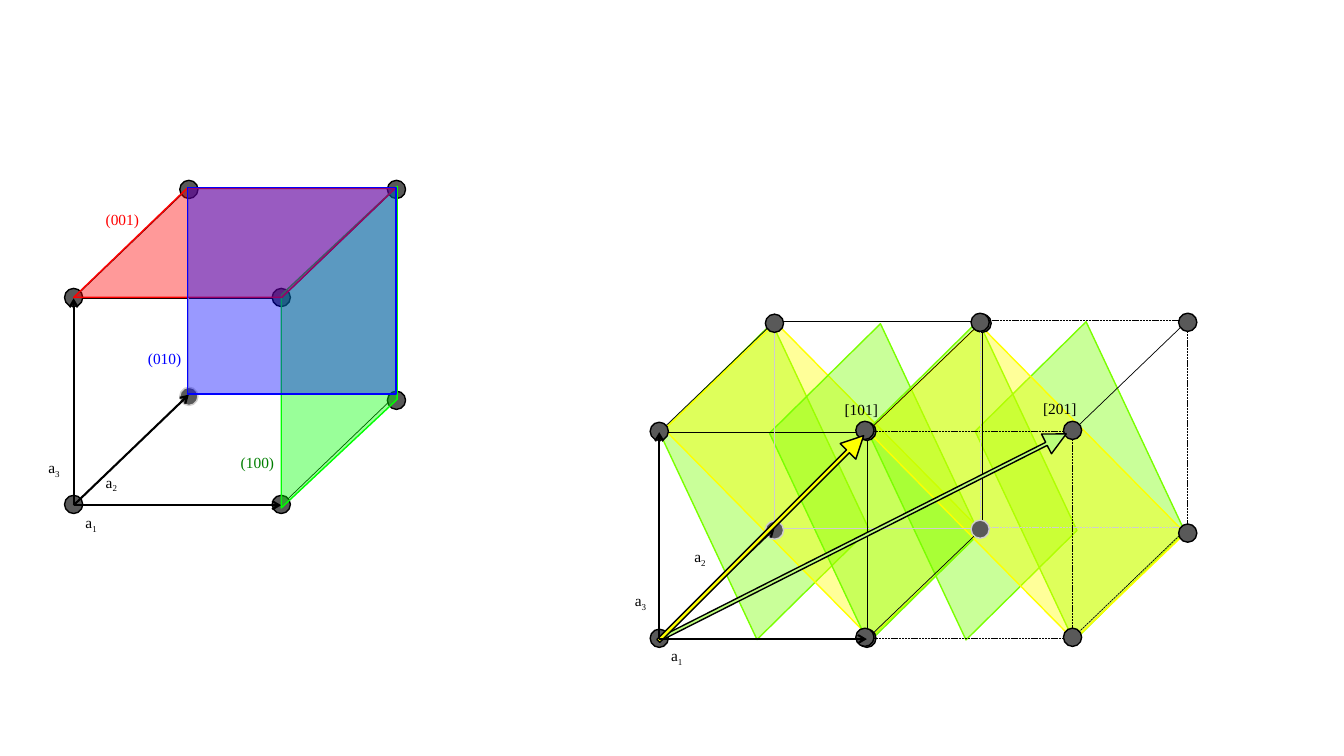
import itertools

import pptx
import pptx.dml.color
import pptx.enum.dml
import pptx.enum.shapes
import pptx.enum.text
import pptx.oxml
import pptx.oxml.ns
import pptx.util

Pt = pptx.util.Pt
SHAPE = pptx.enum.shapes.MSO_SHAPE

COLORS = {
    "black": "000000", "pale": "D0CECE", "atom": "595959",
    "red": "FF0000", "green": "00FF00", "blue": "0000FF", "dark green": "007E00",
    "lime": "7AFF00", "yellow": "FFFF00", "light lime": "BCFE7A",
}
FONT = "Times New Roman"

# Lattice vectors and cell origins; a vertex is (i, j, k) steps along a1, a2, a3
LATTICE = ((148.3, 0), (82.3, -79), (0, -147.8))
LEFT_CELL = (52.6, 360.9)
RIGHT_CELL = (470.9, 456.5)
NEXT_CELL = (617.8, 455.8)
ORIGIN, A1, A2, A3 = (0, 0, 0), (1, 0, 0), (0, 1, 0), (0, 0, 1)
BASE_CORNER = (1, 1, 0)
VERTICES = list(itertools.product((0, 1), repeat=3))
SHARED_EDGES = [(ORIGIN, A2), (ORIGIN, A3), (A3, (0, 1, 1))]
SOLID_EDGE = ((1, 0, 1), (1, 1, 1))
ATOM_SIZE = 13

# kind, box (left, top, width, height), rotation, flips, adjustments, color
LIME_PLANES = [
    (SHAPE.PARALLELOGRAM, (left, top, 166.3, height), 315.4, "HV", [0.352], "lime")
    for left, top, height in [(463, 267.1, 153.4), (541.4, 267.1, 156.2),
                              (611.3, 265, 156.2), (688.3, 265.7, 156.2)]
]
YELLOW_PLANES = [
    (SHAPE.PARALLELOGRAM, (left, top, 211, 110.2), 45.4, "", [0.014], "yellow")
    for left, top in [(482.4, 288), (627.8, 289.4)]
]
RIGHT_PLANES = [LIME_PLANES[0], YELLOW_PLANES[0], *LIME_PLANES[1:], YELLOW_PLANES[1]]
LEFT_PLANES = [
    (SHAPE.PARALLELOGRAM, (127.4, 206.6, 229.7, 82.8), 270, "H", [0.937], "green"),
    (SHAPE.PARALLELOGRAM, (52.6, 134.6, 229.7, 77.8), 0, "", [1.039], "red"),
    (SHAPE.RECTANGLE, (133.9, 133.9, 149, 147.6), 0, "", [], "blue"),
]
DIRECTIONS = [
    (SHAPE.RIGHT_ARROW, (455, 375.1, 324, 15.8), 333.2, "", [0.155, 1.001], "light lime"),
    (SHAPE.RIGHT_ARROW, (439.9, 376.6, 207.4, 15.8), 315, "", [0.181, 1.001], "yellow"),
]

# text, subscript, left, top, color
LABELS = [
    ("a", "1", 54, 362.9, "black"), ("a", "2", 68.4, 334.1, "black"),
    ("a", "3", 27.4, 324, "black"),
    ("a", "1", 472.3, 457.9, "black"), ("a", "2", 488.9, 387.4, "black"),
    ("a", "3", 446.4, 419, "black"),
    ("(001)", "", 68.4, 146.2, "red"), ("(010)", "", 98.6, 245.5, "blue"),
    ("(100)", "", 164.9, 320.4, "dark green"),
    ("[101]", "", 596.2, 282.2, "black"), ("[201]", "", 738, 281.5, "black"),
]

deck = pptx.Presentation()
deck.slide_width, deck.slide_height = Pt(960), Pt(540)
page = deck.slides.add_slide(deck.slide_layouts[6])


def rgb(name):
    return pptx.dml.color.RGBColor.from_string(COLORS[name])


def add_child(parent, tag, **attributes):
    child = pptx.oxml.parse_xml(f"<{tag} {pptx.oxml.ns.nsdecls('a')}/>")
    for key, value in attributes.items():
        child.set(key, value)
    parent.append(child)


def locate(cell, vertex):
    """Slide position of a lattice vertex."""
    return [cell[axis] + sum(n * step[axis] for n, step in zip(vertex, LATTICE))
            for axis in (0, 1)]


def draw_line(cell, start, end, color="black", width=0.5, dashed=False, arrow=False):
    points = locate(cell, start) + locate(cell, end)
    link = page.shapes.add_connector(
        pptx.enum.shapes.MSO_CONNECTOR.STRAIGHT, *map(Pt, points))
    link.line.color.rgb = rgb(color)
    link.line.width = Pt(width)
    if dashed:
        link.line.dash_style = pptx.enum.dml.MSO_LINE.SQUARE_DOT
    if arrow:
        add_child(link.line._get_or_add_ln(), "a:tailEnd", type="arrow")
    add_child(link._element.spPr, "a:effectLst")


def draw_axis(cell, vertex):
    draw_line(cell, ORIGIN, vertex, width=1.5, arrow=True)


def draw_edges(cell, extension=False):
    """Draw the cell's edges; an extension is dashed and omits shared edges."""
    for start, end in itertools.combinations(VERTICES, 2):
        if sum(a != b for a, b in zip(start, end)) != 1:
            continue
        if extension and (start, end) in SHARED_EDGES:
            continue
        color = "pale" if A2 in (start, end) else "black"
        draw_line(cell, start, end, color,
                  dashed=extension and (start, end) != SOLID_EDGE)


def draw_shape(kind, box, rotation, flips, adjustments, fill, line, alpha=None):
    shape = page.shapes.add_shape(kind, *map(Pt, box))
    shape.shadow.inherit = False
    shape.rotation = rotation
    for axis in flips:
        shape._element.spPr.xfrm.set("flip" + axis, "1")
    for index, value in enumerate(adjustments):
        shape.adjustments[index] = value
    shape.fill.solid()
    shape.fill.fore_color.rgb = rgb(fill)
    if alpha:
        add_child(shape._element.spPr.find(".//" + pptx.oxml.ns.qn("a:srgbClr")),
                  "a:alpha", val=str(alpha * 1000))
    shape.line.color.rgb = rgb(line)
    shape.line.width = Pt(1)


def draw_planes(planes):
    for *geometry, color in planes:
        draw_shape(*geometry, color, color, alpha=40)


def draw_atoms(cell, vertices):
    for vertex in vertices:
        x, y = locate(cell, vertex)
        drop = 4 if vertex == BASE_CORNER else 1.2 if vertex[1] else -0.6
        box = (x - ATOM_SIZE / 2, y + drop - ATOM_SIZE / 2, ATOM_SIZE, ATOM_SIZE)
        draw_shape(SHAPE.OVAL, box, 0, "", [], "atom",
                   "pale" if vertex == A2 else "black")


def draw_label(text, subscript, left, top, color):
    box = page.shapes.add_textbox(Pt(left), Pt(top), Pt(67.7), Pt(20.9))
    box.text_frame.word_wrap = True
    box.text_frame.auto_size = pptx.enum.text.MSO_AUTO_SIZE.SHAPE_TO_FIT_TEXT
    para = box.text_frame.paragraphs[0]
    for part in filter(None, (text, subscript)):
        span = para.add_run()
        span.text = part
        span.font.name = FONT
        span.font.size = Pt(11)
        span.font.color.rgb = rgb(color)
        if part == subscript:
            span.font._element.set("baseline", "-25000")


draw_planes(RIGHT_PLANES)

draw_edges(LEFT_CELL)
draw_atoms(LEFT_CELL, VERTICES)
for axis_vertex in (A3, A1, A2):
    draw_axis(LEFT_CELL, axis_vertex)
draw_planes(LEFT_PLANES)

draw_edges(RIGHT_CELL)
draw_atoms(RIGHT_CELL, [vertex for vertex in VERTICES if vertex != BASE_CORNER])
draw_edges(NEXT_CELL, extension=True)
draw_atoms(NEXT_CELL, VERTICES)
draw_axis(RIGHT_CELL, A2)
for direction in DIRECTIONS:
    draw_shape(*direction, "black")
for label in LABELS:
    draw_label(*label)
for axis_vertex in (A1, A3):
    draw_axis(RIGHT_CELL, axis_vertex)

deck.save("out.pptx")
